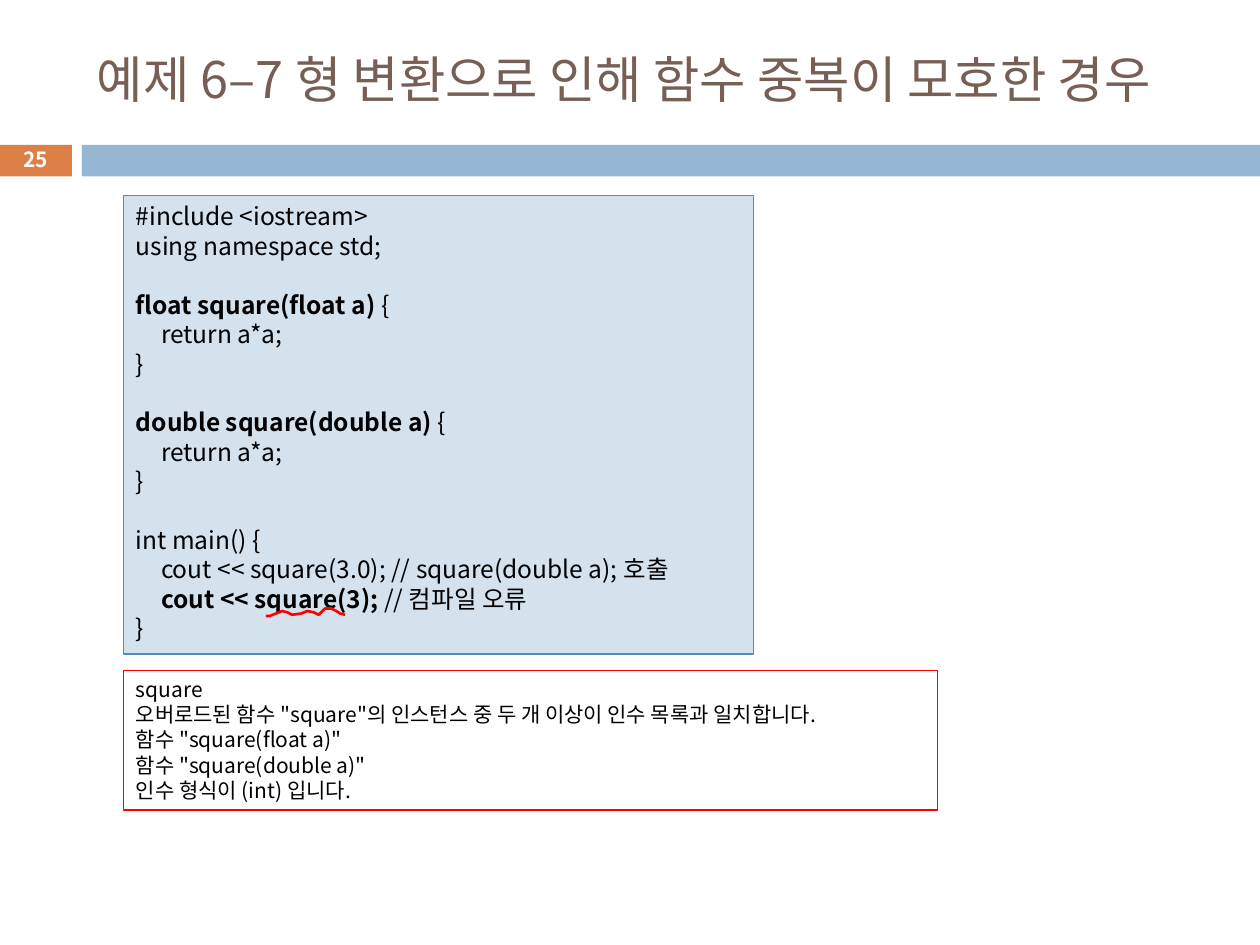
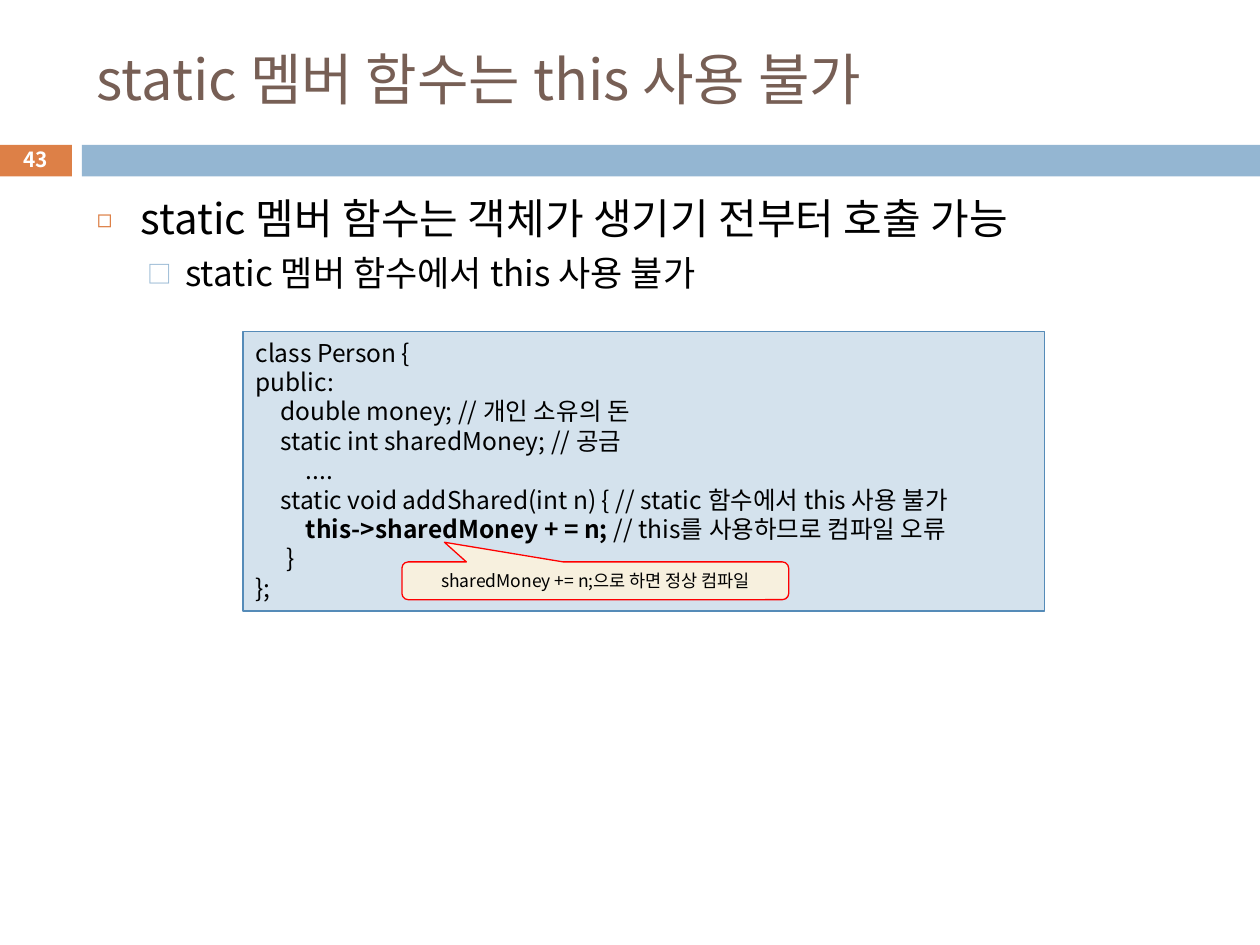
from lxml import etree
from pptx import Presentation
from pptx.dml.color import RGBColor
from pptx.enum.shapes import MSO_SHAPE
from pptx.enum.text import MSO_ANCHOR, PP_ALIGN
from pptx.oxml.ns import qn
from pptx.util import Inches, Pt

RECTANGLE = MSO_SHAPE.RECTANGLE
CALLOUT = MSO_SHAPE.ROUNDED_RECTANGULAR_CALLOUT
TOP, MIDDLE = MSO_ANCHOR.TOP, MSO_ANCHOR.MIDDLE
LEFT, CENTER = PP_ALIGN.LEFT, PP_ALIGN.CENTER

FONT = "Noto Sans CJK KR"
BLACK, WHITE, RED = "000000", "FFFFFF", "FF0000"
BROWN, ORANGE, BLUE = "775F55", "DD8047", "94B6D2"
CODE_FILL, CODE_LINE, NOTE_FILL = "D4E2ED", "558BB8", "F7F0DE"
LINE_FACTOR = 1.2
TAB_STEP = 0.2

AMBIGUOUS_CODE = """#include <iostream>
using namespace std;

**float square(float a) **{
\treturn a*a;
}

**double square(double a) **{
\treturn a*a;
}

int main() {
\tcout << square(3.0); // square(double a); 호출
\t**cout << square(3);** // 컴파일 오류
}"""

ERROR_MESSAGE = """square
오버로드된 함수 "square"의 인스턴스 중 두 개 이상이 인수 목록과 일치합니다.
함수 "square(float a)"
함수 "square(double a)"
인수 형식이 (int) 입니다."""

PERSON_CODE = """class Person {
public:
\tdouble money; // 개인 소유의 돈
\tstatic int sharedMoney; // 공금
\t\t....
\tstatic void addShared(int n) { // static 함수에서 this 사용 불가
\t\t**this->sharedMoney + = n;** // this를 사용하므로 컴파일 오류
\t }
};"""

ERROR_WAVE = [(2.11, 4.89), (2.14, 4.89), (2.19, 4.87), (2.24, 4.85),
              (2.28, 4.86), (2.32, 4.88), (2.39, 4.87), (2.44, 4.85),
              (2.49, 4.86), (2.53, 4.88), (2.58, 4.83), (2.63, 4.83),
              (2.67, 4.85), (2.7, 4.87), (2.74, 4.88)]


def rgb(code):
    return RGBColor.from_string(code)


def add_tab_stops(paragraph):
    tabs = etree.SubElement(paragraph._p.get_or_add_pPr(), qn("a:tabLst"))
    for step in (1, 2):
        etree.SubElement(tabs, qn("a:tab"), pos=str(Inches(TAB_STEP * step)), algn="l")


def write_text(frame, text, size=14, color=BLACK, bold=False, align=LEFT, anchor=TOP):
    frame.word_wrap = True
    frame.vertical_anchor = anchor
    paragraph, gap = None, 0
    for line in text.split("\n"):
        if not line:
            gap += size * LINE_FACTOR
            continue
        paragraph = frame.add_paragraph() if paragraph else frame.paragraphs[0]
        paragraph.alignment = align
        paragraph.line_spacing = Pt(size * LINE_FACTOR)
        paragraph.space_before = Pt(gap)
        gap = 0
        if "\t" in line:
            add_tab_stops(paragraph)
        for position, piece in enumerate(line.split("**")):
            if not piece:
                continue
            run = paragraph.add_run()
            run.text = piece
            run.font.size = Pt(size)
            run.font.bold = bold or position % 2 == 1
            run.font.color.rgb = rgb(color)
            run.font.name = FONT
            for script in ("a:ea", "a:cs"):
                etree.SubElement(run._r.get_or_add_rPr(), qn(script), typeface=FONT)


class Deck:
    def __init__(self):
        self.presentation = Presentation()
        self.presentation.slide_width = Inches(10)
        self.presentation.slide_height = Inches(7.5)
        self.slide = None

    def start(self, title, number, title_size):
        self.slide = self.presentation.slides.add_slide(self.presentation.slide_layouts[6])
        self.box((-0.01, 1.15, 0.58, 0.25), fill=ORANGE)
        self.box((0.65, 1.15, 9.35, 0.25), fill=BLUE)
        self.label((0.67, 0.25, 9.2, 0.74), title, size=title_size, color=BROWN, anchor=MIDDLE)
        self.label((-0.01, 1.13, 0.58, 0.27), number, size=11.9, color=WHITE,
                   bold=True, align=CENTER, anchor=MIDDLE)

    def style(self, shape, fill=None, line=None, width=0.75):
        shape.shadow.inherit = False
        if fill:
            shape.fill.solid()
            shape.fill.fore_color.rgb = rgb(fill)
        else:
            shape.fill.background()
        if line:
            shape.line.color.rgb = rgb(line)
            shape.line.width = Pt(width)
        else:
            shape.line.fill.background()

    def box(self, area, text="", fill=None, line=None, kind=RECTANGLE, **fmt):
        shape = self.slide.shapes.add_shape(kind, *map(Inches, area))
        self.style(shape, fill, line)
        if text:
            write_text(shape.text_frame, text, **fmt)
        return shape

    def label(self, area, text, **fmt):
        label = self.slide.shapes.add_textbox(*map(Inches, area))
        write_text(label.text_frame, text, **fmt)
        return label

    def code(self, area, text):
        self.box(area, text, fill=CODE_FILL, line=CODE_LINE)

    def bullet(self, area, text, mark, color, scale, hang, size):
        paragraph = self.label(area, text, size=size).text_frame.paragraphs[0]
        props = paragraph._p.get_or_add_pPr()
        props.set("marL", str(Inches(hang)))
        props.set("indent", str(-Inches(hang)))
        mark_color = etree.SubElement(props, qn("a:buClr"))
        etree.SubElement(mark_color, qn("a:srgbClr"), val=color)
        etree.SubElement(props, qn("a:buSzPct"), val=str(scale * 1000))
        etree.SubElement(props, qn("a:buFont"), typeface=FONT)
        etree.SubElement(props, qn("a:buChar"), char=mark)

    def callout(self, area, text, tip):
        note = self.box(area, text, fill=NOTE_FILL, line=RED, kind=CALLOUT,
                        size=10, align=CENTER, anchor=MIDDLE)
        for index, value in enumerate((*tip, 0.167)):
            note.adjustments[index] = value

    def wave(self, points):
        start, *rest = [(Inches(x), Inches(y)) for x, y in points]
        builder = self.slide.shapes.build_freeform(*start)
        builder.add_line_segments(rest, close=False)
        self.style(builder.convert_to_shape(), line=RED, width=1.5)


def main():
    deck = Deck()

    deck.start("예제 6–7 형 변환으로 인해 함수 중복이 모호한 경우", "25", 28.8)
    deck.code((0.98, 1.55, 5, 3.64), AMBIGUOUS_CODE)
    deck.box((0.98, 5.32, 6.46, 1.11), ERROR_MESSAGE, line=RED, size=12)
    deck.wave(ERROR_WAVE)

    deck.start("static 멤버 함수는 this 사용 불가", "43", 32)
    deck.bullet((0.67, 1.48, 8.92, 0.5), "static 멤버 함수는 객체가 생기기 전부터 호출 가능",
                "◻", ORANGE, 60, 0.35, 24)
    deck.bullet((1.07, 1.95, 8.52, 0.43), "static 멤버 함수에서 this 사용 불가",
                "□", BLUE, 70, 0.3, 20)
    deck.code((1.93, 2.63, 6.36, 2.22), PERSON_CODE)
    deck.callout((3.19, 4.46, 3.07, 0.3), "sharedMoney += n;으로 하면 정상 컴파일", (-0.39, -1.02))

    deck.presentation.save("out.pptx")


if __name__ == "__main__":
    main()
